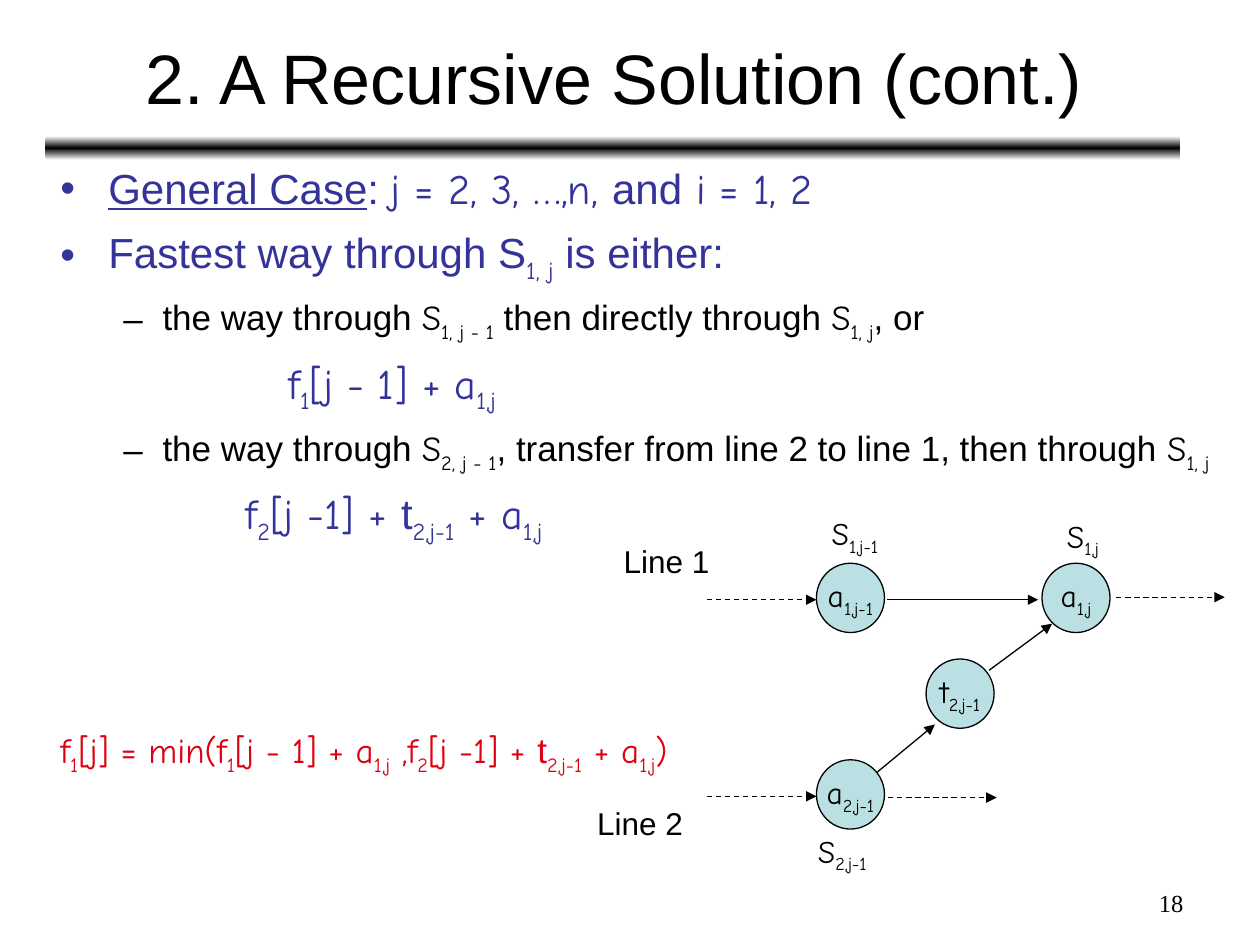
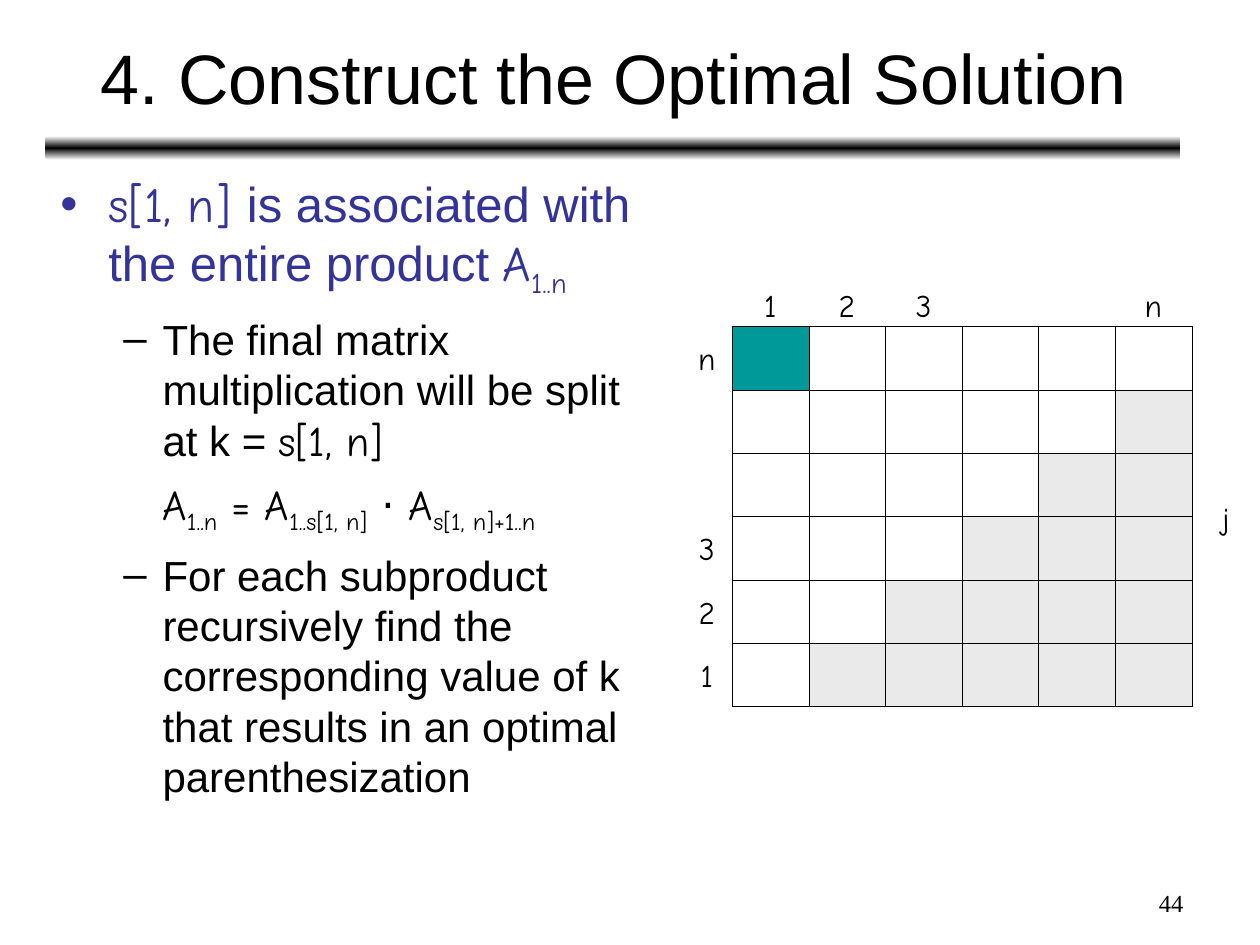
from copy import deepcopy

from lxml.etree import SubElement
from pptx import Presentation
from pptx.dml.color import RGBColor as Rgb
from pptx.enum.dml import MSO_LINE as Dash
from pptx.enum.shapes import MSO_CONNECTOR as Link, MSO_SHAPE as Kind
from pptx.enum.text import MSO_ANCHOR as Anchor, MSO_AUTO_SIZE as Fit, PP_ALIGN as Align
from pptx.oxml.ns import qn
from pptx.util import Inches, Pt

# Grid: 100 columns by 75 rows, each a tenth of an inch
WIDE, HIGH = Inches(10), Inches(7.5)
COL, ROW = WIDE / 100, HIGH / 75

INK = {"text": "000000", "blue": "333399", "red": "DD0111", "node": "BBE0E3",
       "teal": "009999", "gray": "EAEAEA", "paper": "FFFFFF"}
SANS, MATH, SERIF = "Arial", "Comic Neue", "Times New Roman"
MARKS = "$_*"  # toggles: math font, subscript, underline


def tint(name):
    return Rgb.from_string(INK[name])


def area(x, y, w, h):
    return round(x * COL), round(y * ROW), round(w * COL), round(h * ROW)


def place(shape, *spot):
    shape.left, shape.top, shape.width, shape.height = area(*spot)


# Text
def bits(text):
    on, bit = set(), ""
    for char in text + "$":
        if char not in MARKS:
            bit += char
            continue
        if bit:
            yield bit, set(on)
        bit = ""
        on ^= {char}


def mark(para, bullet, color):
    props = para._p.get_or_add_pPr()
    if not bullet:
        SubElement(props, qn("a:buNone"))
        return
    paint = SubElement(props, qn("a:buClr"))
    SubElement(paint, qn("a:srgbClr")).set("val", INK[color])
    SubElement(props, qn("a:buFont")).set("typeface", SANS)
    SubElement(props, qn("a:buChar")).set("char", bullet)


def write(frame, text, size=18, color="text", font=SANS, align=Align.LEFT,
          before=0.9, left=0, hang=0, bullet=None, level=0):
    first = not frame.text
    para = frame.paragraphs[0] if first else frame.add_paragraph()
    para.level, para.alignment = level, align
    mark(para, bullet, color)
    props = para._p.get_or_add_pPr()
    props.set("marL", str(Inches(left)))
    props.set("indent", str(-Inches(hang)))
    para.space_before, para.space_after = Pt(0 if first else before), Pt(0.9)
    for bit, on in bits(text):
        run = para.add_run()
        run.text = bit
        face = run.font
        face.name = MATH if "$" in on else font
        face.size, face.color.rgb = Pt(size), tint(color)
        face.underline = "*" in on
        if "_" in on:
            run._r.get_or_add_rPr().set("baseline", "-25000")


def point(frame, text, size, before):
    write(frame, text, size, "blue", before=before, left=0.38, hang=0.38, bullet="•")


def dash(frame, text, size, before):
    write(frame, text, size, before=before, left=0.81, hang=0.31, bullet="–", level=1)


def label(slide, text, x, y, w=3.6, h=4):
    """Put a short text around the centre (x, y)."""
    frame = slide.shapes.add_textbox(*area(x - w / 2, y - h / 2, w, h)).text_frame
    frame.word_wrap, frame.vertical_anchor = False, Anchor.MIDDLE
    write(frame, text, align=Align.CENTER)


# Shared slide parts
def band(slide):
    bar = slide.shapes.add_shape(Kind.ROUNDED_RECTANGLE, *area(3.6, 10.8, 90.1, 1.9))
    bar.shadow.inherit = False
    bar.line.fill.background()
    bar.fill.gradient()
    bar.fill.gradient_angle = 90
    stops = bar._element.find(".//" + qn("a:gsLst"))
    stops.insert(1, deepcopy(stops[0]))
    for stop, spot, name in zip(bar.fill.gradient_stops, (0, 0.5, 1),
                                ("paper", "text", "paper")):
        stop.position, stop.color.rgb = spot, tint(name)


def start(deck, title, number, spot):
    """Add a slide with its title, band and number; return it and its body text."""
    slide = deck.slides.add_slide(deck.slide_layouts[1])
    head, body = slide.placeholders
    place(head, 3.7, 1.1, 90, 9.9)
    place(body, *spot)
    for shape, hold in ((head, Anchor.MIDDLE), (body, Anchor.TOP)):
        frame = shape.text_frame
        frame.auto_size, frame.word_wrap, frame.vertical_anchor = Fit.NONE, True, hold
    write(head.text_frame, title, 40, align=Align.CENTER)
    band(slide)
    foot = slide.shapes.add_textbox(*area(71.7, 70, 23.2, 3.4)).text_frame
    foot.word_wrap = True
    write(foot, str(number), 14, font=SERIF, align=Align.RIGHT)
    return slide, body.text_frame


# Diagram and table parts
def node(slide, text, x, y):
    disc = slide.shapes.add_shape(Kind.OVAL, *area(x, y, 5.4, 5.5))
    disc.shadow.inherit = False
    disc.fill.solid()
    disc.fill.fore_color.rgb = tint("node")
    disc.line.color.rgb, disc.line.width = tint("text"), Pt(0.75)
    frame = disc.text_frame
    frame.word_wrap, frame.vertical_anchor = False, Anchor.MIDDLE
    write(frame, text, align=Align.CENTER)


def arrow(slide, x1, y1, x2, y2, dashed=False):
    ends = area(x1, y1, x2, y2)
    wire = slide.shapes.add_connector(Link.STRAIGHT, *ends)
    wire.line.color.rgb, wire.line.width = tint("text"), Pt(0.75)
    if dashed:
        wire.line.dash_style = Dash.DASH
    SubElement(wire.line._get_or_add_ln(), qn("a:tailEnd")).set("type", "triangle")
    SubElement(wire._element.spPr, qn("a:effectLst"))


def edge(cell):
    props = cell._tc.get_or_add_tcPr()
    for spot, side in enumerate(("lnL", "lnR", "lnT", "lnB")):
        line = props.makeelement(qn("a:" + side), {"w": "762"})
        props.insert(spot, line)
        fill = SubElement(line, qn("a:solidFill"))
        SubElement(fill, qn("a:srgbClr")).set("val", INK["text"])


def matrix(slide, x, y, size, w, h):
    """Draw a square table, gray below its rising diagonal."""
    table = slide.shapes.add_table(size, size, *area(x, y, size * w, size * h)).table
    table.first_row = table.horz_banding = False
    for row in range(size):
        for col in range(size):
            cell = table.cell(row, col)
            name = "teal" if row == col == 0 else "gray" if row + col >= size else None
            if name:
                cell.fill.solid()
                cell.fill.fore_color.rgb = tint(name)
            else:
                cell.fill.background()
            edge(cell)


# Slides
def recur(deck):
    slide, body = start(deck, "2. A Recursive Solution (cont.)", 18,
                        (3.8, 12.4, 96.2, 58.4))
    point(body, "*General Case*: $j = 2, 3, …,n, $and$ i = 1, 2$", 24, 6.9)
    point(body, "Fastest way through S$_1, j_$ is either:", 24, 6.9)
    dash(body, "the way through $S_1, j - 1_$ then directly through $S_1, j_$, or",
         20, 5.9)
    write(body, "$f_1_[j - 1] + a_1,j_$", 24, "blue", before=6.9, left=1.81, level=1)
    dash(body, "the way through $S_2, j - 1_$, transfer from line 2 to line 1, "
         "then through $S_1, j_$", 20, 5.9)
    write(body, "$f_2_[j -1] + $t$_2,j-1_ + a_1,j_$", 24, "blue", before=6.9, left=1.47)
    write(body, "$f_1_[j] = min(f_1_[j - 1] + a_1,j_ ,f_2_[j -1] + $t$_2,j-1_ + a_1,j_)$",
          20, "red", before=104)

    # Assembly lines
    for text, x, y in (("$a_1,j_$", 82.7, 44.7), ("$a_1,j-1_$", 64.8, 44.7),
                       ("$a_2,j-1_$", 64.8, 60.3), ("$t_2,j-1_$", 73.5, 52.3)):
        node(slide, text, x, y)
    for text, x, y in (("$S_1,j_$", 85.95, 42.7), ("$S_1,j-1_$", 67.85, 42.5),
                       ("$S_2,j-1_$", 66.85, 67.7)):
        label(slide, text, x, y, 7, 4.4)
    for text, x, y in (("Line 1", 52.9, 44.5), ("Line 2", 50.8, 65.3)):
        label(slide, text, x, y, 9.2)
    for ends in ((56.1, 47.6, 64.8, 47.6), (56.1, 63.2, 64.8, 63.2),
                 (88.6, 47.4, 97.2, 47.4), (70.5, 63.3, 79.1, 63.3)):
        arrow(slide, *ends, dashed=True)
    for ends in ((70.4, 47.6, 82.4, 47.6), (69.6, 61.3, 74.2, 57.5),
                 (78.5, 53.2, 83.5, 49.5)):
        arrow(slide, *ends)


def build(deck):
    slide, body = start(deck, "4. Construct the Optimal Solution", 44,
                        (3.8, 13.3, 49, 55.5))
    point(body, "$s[1, n] $is associated with the entire product $A_1..n_$", 28, 7.9)
    dash(body, "The final matrix multiplication will be split at k = $s[1, n]$", 24, 6.9)
    write(body, "$A_1..n_ = A_1..s[1, n]_ $⋅$ A_s[1, n]+1..n_$", 24,
          before=6.9, left=0.81, level=1)
    dash(body, "For each subproduct recursively find the corresponding value of k "
         "that results in an optimal parenthesization", 24, 6.9)

    # Table with its column and row labels
    x, y, size, w, h = 58.1, 25.9, 6, 6.08, 5.03
    matrix(slide, x, y, size, w, h)
    for text, step in (("1", 0), ("2", 1), ("3", 2), ("n", size - 1)):
        label(slide, f"${text}$", x + (step + 0.5) * w, y - 1.7)
        label(slide, f"${text}$", x - 2, y + (size - step - 0.5) * h)
    label(slide, "$j$", 97.3, 41.1)


def main():
    deck = Presentation()
    deck.slide_width, deck.slide_height = WIDE, HIGH
    recur(deck)
    build(deck)
    deck.save("out.pptx")


if __name__ == "__main__":
    main()
